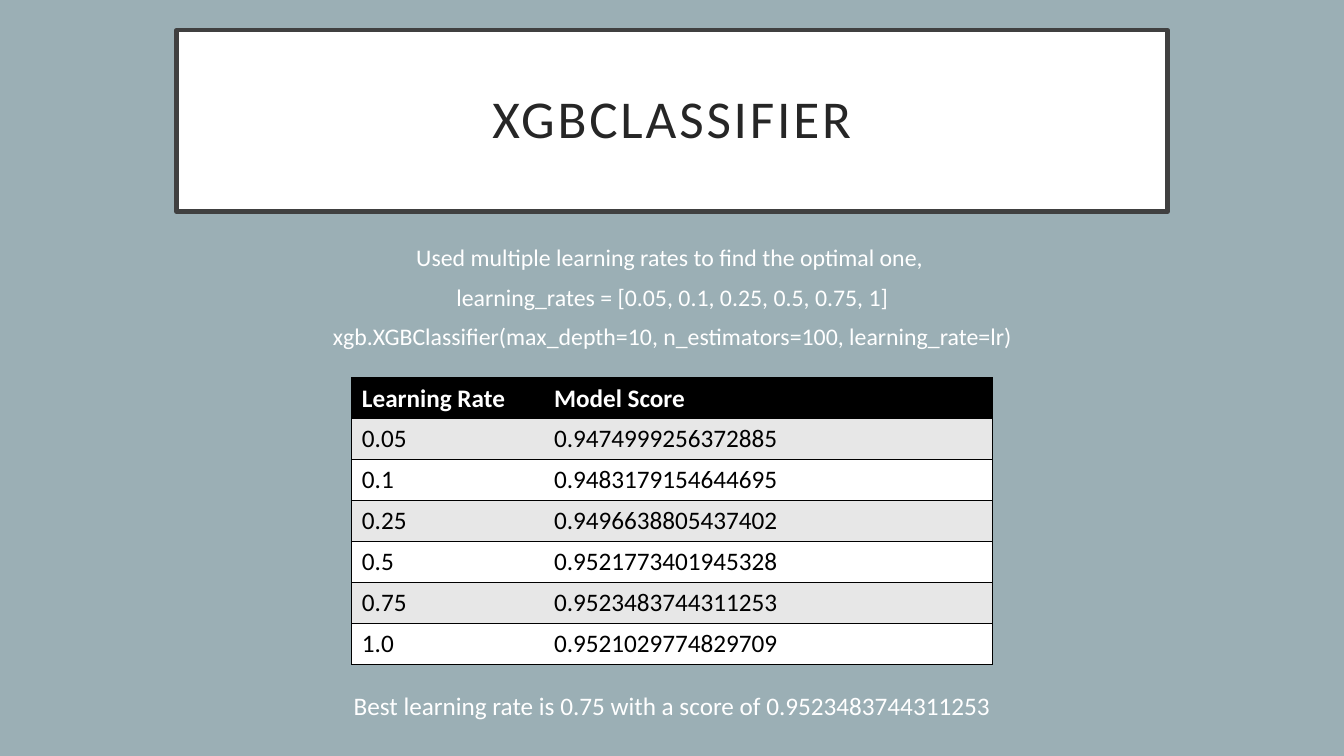
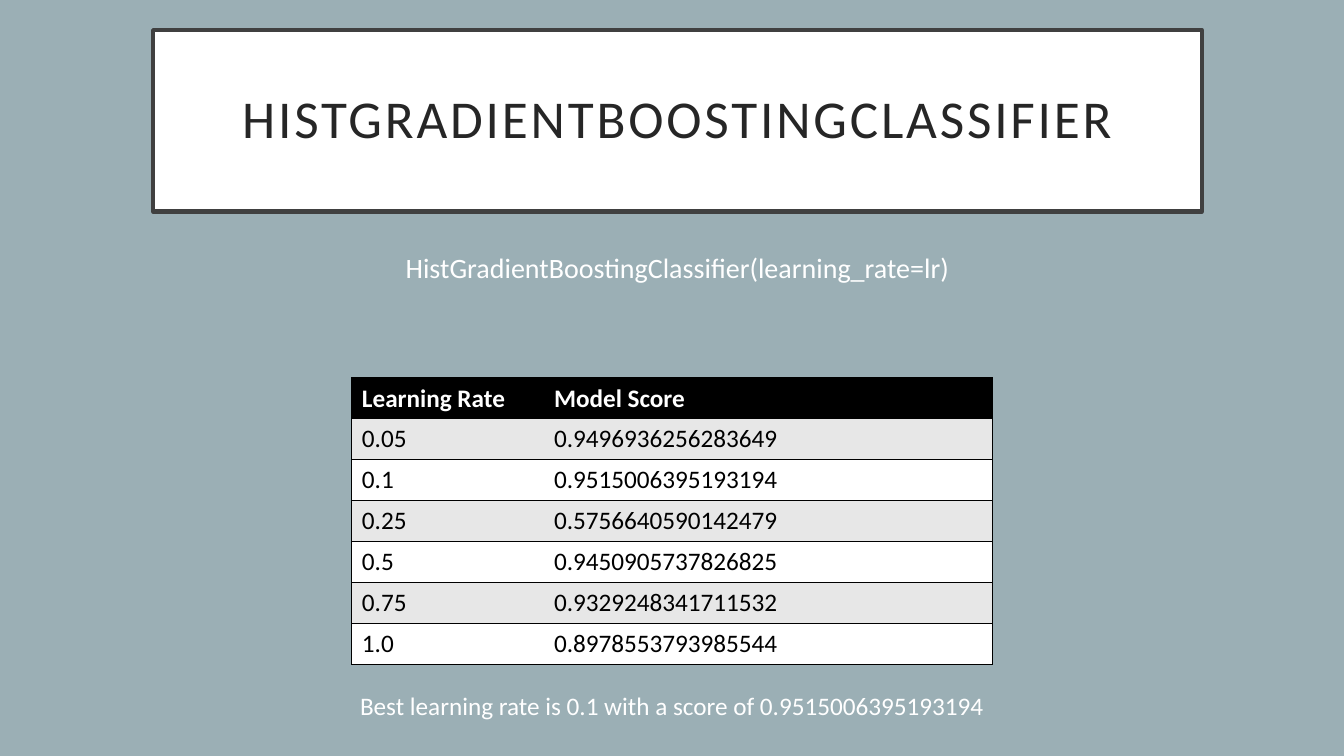
from dataclasses import dataclass

from lxml import etree
from pptx import Presentation
from pptx.dml.color import RGBColor
from pptx.enum.shapes import MSO_SHAPE
from pptx.enum.text import MSO_ANCHOR, MSO_AUTO_SIZE, PP_ALIGN
from pptx.oxml.ns import qn
from pptx.util import Emu, Inches, Pt

RECTANGLE = MSO_SHAPE.RECTANGLE
TOP, MIDDLE = MSO_ANCHOR.TOP, MSO_ANCHOR.MIDDLE
CENTER = PP_ALIGN.CENTER
GROW = MSO_AUTO_SIZE.SHAPE_TO_FIT_TEXT

SLIDE_WIDTH, SLIDE_HEIGHT = Inches(13.33), Inches(7.5)
FONT = "Calibri"
BACKGROUND, WHITE, BLACK = "9BAFB5", "FFFFFF", "000000"
FRAME, TITLE_INK, BAND = "404040", "262626", "E7E7E7"

RATES = ("0.05", "0.1", "0.25", "0.5", "0.75", "1.0")
HEADINGS = ("Learning Rate", "Model Score")
RATE_COLUMN_SHARE = 0.3


@dataclass(frozen=True)
class Box:
    """Percentages of the slide's width and height."""
    left: float
    top: float
    width: float
    height: float

    def emu(self) -> tuple[Emu, Emu, Emu, Emu]:
        return (Emu(round(SLIDE_WIDTH * self.left / 100)),
                Emu(round(SLIDE_HEIGHT * self.top / 100)),
                Emu(round(SLIDE_WIDTH * self.width / 100)),
                Emu(round(SLIDE_HEIGHT * self.height / 100)))


@dataclass(frozen=True)
class TextStyle:
    size: float
    color: str = WHITE
    bold: bool = False
    line_spacing: float = 1.0
    space_before: float = 0
    tracking: float = 0


@dataclass(frozen=True)
class ModelSlide:
    title: str
    title_box: Box
    setup: tuple[str, ...]
    setup_box: Box
    setup_style: TextStyle
    setup_anchor: MSO_ANCHOR
    scores: tuple[str, ...]


TABLE_BOX = Box(26.18, 50, 47.64, 37.87)
CONCLUSION_BOX = Box(25.13, 90.67, 49.74, 5.33)
TITLE_STYLE = TextStyle(38, TITLE_INK, line_spacing=0.9, tracking=2)
HEADING_STYLE = TextStyle(18, bold=True)
VALUE_STYLE = TextStyle(18, BLACK)
CONCLUSION_STYLE = TextStyle(18)

MODELS = (
    ModelSlide(
        "XGBCLASSIFIER", Box(13.13, 4, 73.74, 24),
        ("Used multiple learning rates to find the optimal one, ",
         "learning_rates = [0.05, 0.1, 0.25, 0.5, 0.75, 1]",
         "xgb.XGBClassifier(max_depth=10, n_estimators=100, learning_rate=lr)"),
        Box(22.13, 31.87, 55.81, 18.13),
        TextStyle(17, line_spacing=0.9, space_before=10), TOP,
        ("0.9474999256372885", "0.9483179154644695", "0.9496638805437402",
         "0.9521773401945328", "0.9523483744311253", "0.9521029774829709")),
    ModelSlide(
        "HISTGRADIENTBOOSTINGCLASSIFIER", Box(11.4, 4, 78.02, 24),
        ("HistGradientBoostingClassifier(learning_rate=lr)",),
        Box(11.4, 30.53, 78.02, 9.73),
        TextStyle(20, space_before=10), MIDDLE,
        ("0.9496936256283649", "0.9515006395193194", "0.5756640590142479",
         "0.9450905737826825", "0.9329248341711532", "0.8978553793985544")),
)


def rgb(hex_color: str) -> RGBColor:
    return RGBColor.from_string(hex_color)


def paint(fill, hex_color: str) -> None:
    fill.solid()
    fill.fore_color.rgb = rgb(hex_color)


def write(frame, lines: tuple[str, ...], style: TextStyle, align=None) -> None:
    frame.text = "\n".join(lines)
    for paragraph in frame.paragraphs:
        paragraph.alignment = align
        paragraph.line_spacing = style.line_spacing
        paragraph.space_before = Pt(style.space_before)
        for run in paragraph.runs:
            run.font.name = FONT
            run.font.size = Pt(style.size)
            run.font.bold = style.bold
            run.font.color.rgb = rgb(style.color)
            if style.tracking:
                run._r.get_or_add_rPr().set("spc", str(round(style.tracking * 100)))


def add_title(slide, title: str, box: Box) -> None:
    banner = slide.shapes.add_shape(RECTANGLE, *box.emu())
    banner.shadow.inherit = False
    paint(banner.fill, WHITE)
    banner.line.color.rgb = rgb(FRAME)
    banner.line.width = Pt(3)
    frame = banner.text_frame
    frame.word_wrap = True
    frame.vertical_anchor = MIDDLE
    frame.margin_left = frame.margin_right = Inches(0.3)
    frame.margin_top = frame.margin_bottom = Inches(0.2)
    write(frame, (title,), TITLE_STYLE, CENTER)


def add_text(slide, lines: tuple[str, ...], box: Box, style: TextStyle,
             anchor: MSO_ANCHOR = TOP, grow: bool = False) -> None:
    frame = slide.shapes.add_textbox(*box.emu()).text_frame
    frame.word_wrap = True
    frame.vertical_anchor = anchor
    if grow:
        frame.auto_size = GROW
    write(frame, lines, style, CENTER)


def set_borders(cell, open_side: str) -> None:
    properties = cell._tc.get_or_add_tcPr()
    for position, side in enumerate(("lnL", "lnR", "lnT", "lnB")):
        border = etree.Element(qn(f"a:{side}"), w=str(Pt(1)))
        properties.insert(position, border)
        if side == open_side:
            etree.SubElement(border, qn("a:noFill"))
        else:
            solid = etree.SubElement(border, qn("a:solidFill"))
            etree.SubElement(solid, qn("a:srgbClr"), val=BLACK)


def add_score_table(slide, scores: tuple[str, ...]) -> None:
    rows = (HEADINGS, *zip(RATES, scores))
    left, top, width, height = TABLE_BOX.emu()
    table = slide.shapes.add_table(len(rows), len(HEADINGS), left, top, width, height).table
    table.horz_banding = False
    rate_width = round(width * RATE_COLUMN_SHARE)
    table.columns[0].width = Emu(rate_width)
    table.columns[1].width = Emu(width - rate_width)
    for row, values in enumerate(rows):
        band = BLACK if row == 0 else BAND if row % 2 else WHITE
        style = VALUE_STYLE if row else HEADING_STYLE
        for column, value in enumerate(values):
            cell = table.cell(row, column)
            paint(cell.fill, band)
            set_borders(cell, "lnL" if column else "lnR")
            write(cell.text_frame, (value,), style)


def add_model_slide(deck, model: ModelSlide) -> None:
    slide = deck.slides.add_slide(deck.slide_layouts[6])
    paint(slide.background.fill, BACKGROUND)
    add_title(slide, model.title, model.title_box)
    add_text(slide, model.setup, model.setup_box, model.setup_style, model.setup_anchor)
    add_score_table(slide, model.scores)
    best_score, best_rate = max(zip(model.scores, RATES))
    conclusion = f"Best learning rate is {best_rate} with a score of {best_score}"
    add_text(slide, (conclusion,), CONCLUSION_BOX, CONCLUSION_STYLE, grow=True)


def main() -> None:
    deck = Presentation()
    deck.slide_width, deck.slide_height = SLIDE_WIDTH, SLIDE_HEIGHT
    for model in MODELS:
        add_model_slide(deck, model)
    deck.save("out.pptx")


main()
